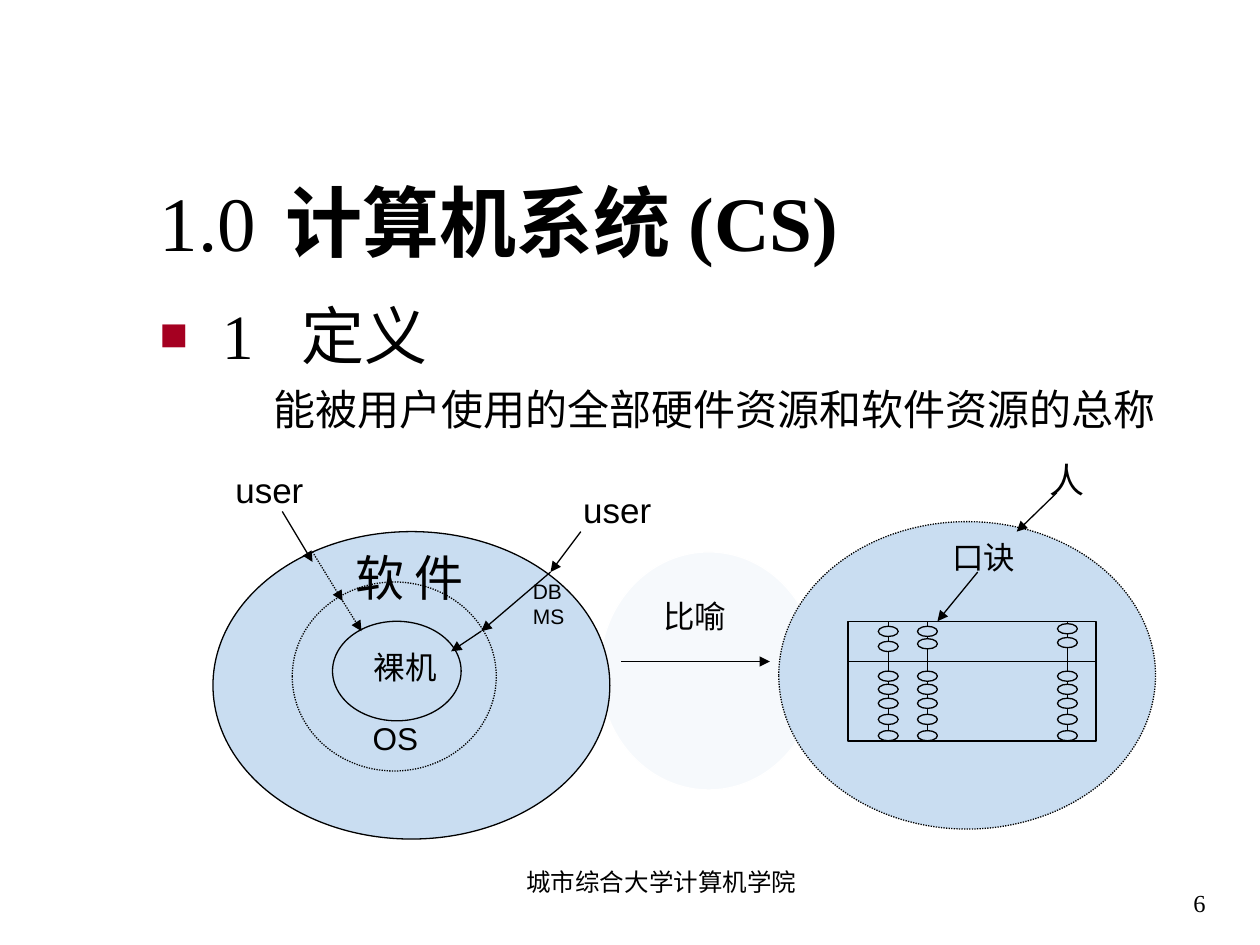
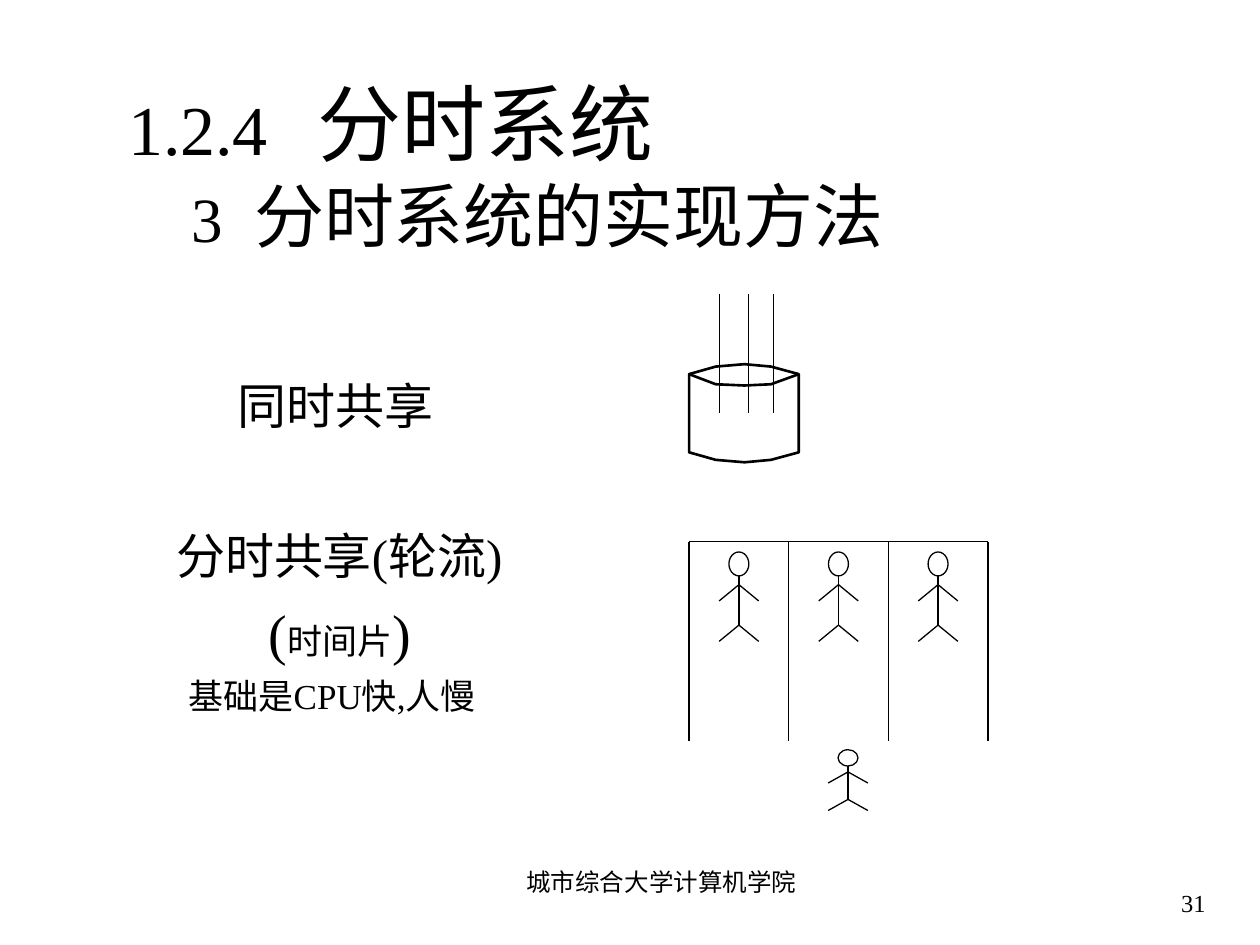
from dataclasses import dataclass

from lxml import etree
from pptx import Presentation
from pptx.dml.color import RGBColor
from pptx.enum.dml import MSO_LINE
from pptx.enum.shapes import MSO_CONNECTOR, MSO_SHAPE
from pptx.enum.text import MSO_ANCHOR, MSO_AUTO_SIZE, PP_ALIGN
from pptx.oxml.ns import qn
from pptx.util import Pt

LEFT, CENTER, RIGHT = PP_ALIGN.LEFT, PP_ALIGN.CENTER, PP_ALIGN.RIGHT
TOP, BOTTOM = MSO_ANCHOR.TOP, MSO_ANCHOR.BOTTOM
NO_AUTOSIZE = MSO_AUTO_SIZE.NONE
OVAL, RECT = MSO_SHAPE.OVAL, MSO_SHAPE.RECTANGLE
STRAIGHT = MSO_CONNECTOR.STRAIGHT
DOTTED = MSO_LINE.ROUND_DOT


@dataclass(frozen=True)
class Theme:
    ink: str = "000000"
    paper: str = "FFFFFF"
    pale: str = "C9DDF1"
    bullet: str = "A50021"
    serif: str = "Times New Roman"
    sans: str = "Arial"
    title: int = 44
    heading: int = 36
    large: int = 40
    huge: int = 48
    body: int = 24
    item: int = 28
    paren: int = 32
    note: int = 20
    label: int = 18
    small: int = 12
    footer: int = 14
    thin: float = 0.75
    thick: float = 1.5


T = Theme()


def write(tf, text, size, font=T.serif, bold=False, align=LEFT, before=0,
          left=0, hang=0, tabs=(), bullet=False, same_line=False):
    """Add a paragraph to tf, or with same_line a run to its last paragraph."""
    p = tf.paragraphs[-1]
    if not same_line:
        if p.runs:
            p = tf.add_paragraph()
        p.alignment, p.space_before = align, Pt(before)
        pPr = p._p.get_or_add_pPr()
        pPr.set("marL", str(Pt(left)))
        pPr.set("indent", str(-Pt(hang)))
        if bullet:
            color = etree.SubElement(pPr, qn("a:buClr"))
            etree.SubElement(color, qn("a:srgbClr"), val=T.bullet)
            etree.SubElement(pPr, qn("a:buSzPct"), val="75000")
            etree.SubElement(pPr, qn("a:buChar"), char="■")
        else:
            etree.SubElement(pPr, qn("a:buNone"))
        if tabs:
            stops = etree.SubElement(pPr, qn("a:tabLst"))
            for pos in tabs:
                etree.SubElement(stops, qn("a:tab"), pos=str(Pt(pos)), algn="l")
    r = p.add_run()
    r.text = text
    r.font.size, r.font.name, r.font.bold = Pt(size), font, bold
    r.font.color.rgb = RGBColor.from_string(T.ink)


def style(sp, fill=None, line=T.ink, width=T.thin, dash=None, arrow=False):
    """Format a shape or connector and take its shadow away."""
    if fill:
        sp.fill.solid()
        sp.fill.fore_color.rgb = RGBColor.from_string(fill)
    elif hasattr(sp, "fill"):
        sp.fill.background()
    sp.line.color.rgb = RGBColor.from_string(line)
    sp.line.width = Pt(width)
    if dash:
        sp.line.dash_style = dash
    if arrow:
        etree.SubElement(sp.line._get_or_add_ln(), qn("a:tailEnd"), type="triangle")
    etree.SubElement(sp._element.spPr, qn("a:effectLst"))
    return sp


prs = Presentation()
prs.slide_width, prs.slide_height = Pt(720), Pt(540)

# Placeholders, page number and footer shared by the slides
pages = [
    ("6", (84, 66, 612, 90), (84, 165.6, 612, 324)),
    ("31", (66, 90, 600, 60), (42.5, 211, 658, 246)),
]
for number, title_box, body_box in pages:
    s = prs.slides.add_slide(prs.slide_layouts[1])
    for sp, box, anchor in ((s.shapes.title, title_box, BOTTOM),
                            (s.placeholders[1], body_box, TOP)):
        sp.left, sp.top, sp.width, sp.height = map(Pt, box)
        sp.text_frame.vertical_anchor = anchor
        sp.text_frame.auto_size = NO_AUTOSIZE
    for text, box, anchor, align in (
            (number, (624, 492, 72, 36), BOTTOM, RIGHT),
            ("城市综合大学计算机学院", (264, 492, 228, 36), TOP, CENTER)):
        tf = s.shapes.add_textbox(*map(Pt, box)).text_frame
        tf.word_wrap, tf.vertical_anchor = True, anchor
        write(tf, text, T.footer, align=align)

# Slide 1: computer system
s = prs.slides[0]
tf = s.shapes.title.text_frame
write(tf, "1.0\t", T.title, tabs=(88,))
write(tf, "计算机系统 (CS)", T.title, bold=True, same_line=True)
tf = s.placeholders[1].text_frame
write(tf, "1\t定义", T.heading, left=36, hang=36, tabs=(45, 81), bullet=True)
write(tf, "能被用户使用的全部硬件资源和软件资源的总称", T.body, before=7, left=65)

halo = style(s.shapes.add_shape(OVAL, Pt(342.7), Pt(315.4), Pt(124.6), Pt(136)),
             fill=T.pale, line=T.paper)
halo_color = halo._element.spPr.find(qn("a:solidFill")).find(qn("a:srgbClr"))
etree.SubElement(halo_color, qn("a:alpha"), val="15000")

layers = [
    (OVAL, (121.7, 303.8, 226.8, 175.7), None),      # software
    (OVAL, (167, 332.6, 116.6, 108), DOTTED),        # OS
    (OVAL, (190, 355, 73.5, 56.9), None),            # bare machine
    (OVAL, (445, 298.1, 215.3, 175.7), DOTTED),      # rhymes
    (RECT, (484.6, 355, 141.8, 68.4), None),         # abacus frame
]
for kind, box, dash in layers:
    style(s.shapes.add_shape(kind, *map(Pt, box)), fill=T.pale, dash=dash)

labels = [
    ("裸机", (206.6, 366.5, 54, 29), T.label),
    ("user", (127.4, 264.2, 58, 32), T.note),
    ("OS", (205.9, 407.5, 44, 29), T.label),
    ("DB\nMS", (297.4, 326.9, 47, 36), T.small),
    ("比喻", (371.8, 337.7, 54, 29), T.label),
    ("口诀", (537.2, 303.8, 54, 29), T.label),
    ("人", (592.6, 258.5, 68, 32), T.note),
    ("user", (326.2, 275.8, 58, 32), T.note),
    ("软 件", (195.8, 309.6, 84, 41), T.item),
]
for text, box, size in labels:
    tf = s.shapes.add_textbox(*map(Pt, box)).text_frame
    tf.word_wrap = True
    for row in text.split("\n"):
        write(tf, row, size, font=T.sans)

arrows = [
    ((355, 378, 440, 378), None),
    ((161.3, 292.3, 178.6, 321.1), None),
    ((178.6, 315.4, 195.8, 343.4), DOTTED),
    ((195.8, 343.4, 206.6, 360.7), DOTTED),
    ((331.9, 303.8, 314.6, 326.9), None),
    ((314.6, 326.9, 275, 360.7), None),
    ((275, 360.7, 257.8, 372.2), None),
    ((604, 281.5, 581, 303.8), None),
    ((558.7, 326.9, 535.7, 355), None),
]
for ends, dash in arrows:
    style(s.shapes.add_connector(STRAIGHT, *map(Pt, ends)), dash=dash, arrow=True)

style(s.shapes.add_connector(STRAIGHT, Pt(484.6), Pt(378), Pt(626.4), Pt(378)))
lower_beads = (383.5, 391, 399, 408.2, 417.5)
upper_beads = {507.6: (357.9, 366.5), 530: (357.9, 365), 610: (356.4, 364.3)}
for wire, beads in upper_beads.items():
    style(s.shapes.add_connector(STRAIGHT, Pt(wire), Pt(355), Pt(wire), Pt(423.4)))
    for top in beads + lower_beads:
        style(s.shapes.add_shape(OVAL, Pt(wire - 5.7), Pt(top), Pt(11.4), Pt(5.8)),
              fill=T.pale)

# Slide 2: time sharing
s = prs.slides[1]
tf = s.shapes.title.text_frame
write(tf, "1.2.4\t", T.large, tabs=(114,))
write(tf, "分时系统", T.huge, same_line=True)
write(tf, "\t3\t", T.heading, tabs=(36, 82))
write(tf, "分时系统的实现方法", T.large, same_line=True)
tf = s.placeholders[1].text_frame
write(tf, "同时共享", T.item, left=86)
write(tf, "分时共享(轮流)", T.item, before=52, left=51)
write(tf, "(", T.paren, before=8, left=104)
write(tf, "时间片", T.note, same_line=True)
write(tf, ")", T.paren, same_line=True)
write(tf, "基础是CPU快,人慢", T.note, before=5, left=58)

xs = (393.8, 409, 425.5, 440.6, 456.5)
back_rim = list(zip(xs, (213.8, 209.5, 208.1, 209.5, 213.8)))
front_rim = list(zip(xs, (213.8, 219.6, 220.3, 219.6, 213.8)))
base = list(zip(xs, (258.5, 262.8, 264.2, 262.8, 258.5)))
for outline, closed, fill in ((back_rim + base[::-1], True, T.paper),
                              (front_rim, False, None)):
    points = [(Pt(x), Pt(y)) for x, y in outline]
    builder = s.shapes.build_freeform(*points[0])
    builder.add_line_segments(points[1:], close=closed)
    style(builder.convert_to_shape(), fill=fill, width=T.thick)

booth_left, booth_top, booth_width = 393.8, 309.6, 56.9
walls = [booth_left + i * booth_width for i in range(4)]
lines = [(x, 167.8, x, 236.2) for x in (411.1, 427.7, 442.1)]
lines += [(x, booth_top, x, 423.4) for x in walls]
lines.append((walls[0], booth_top, walls[-1], booth_top))

people = [(x + booth_width / 2, 315.4, 1) for x in walls[:3]]
people.append((484.6, 428.4, 0.68))
for x, top, scale in people:
    neck, shoulder, hand, hip, foot = (
        top + scale * y for y in (13.7, 18.7, 28, 41.8, 51.1))
    style(s.shapes.add_shape(OVAL, Pt(x - 5.7), Pt(top), Pt(11.4), Pt(neck - top)))
    lines.append((x, neck, x, hip))
    for reach in (-11.3, 11.3):
        lines += [(x, shoulder, x + reach, hand), (x, hip, x + reach, foot)]
for ends in lines:
    style(s.shapes.add_connector(STRAIGHT, *map(Pt, ends)))

prs.save("out.pptx")
